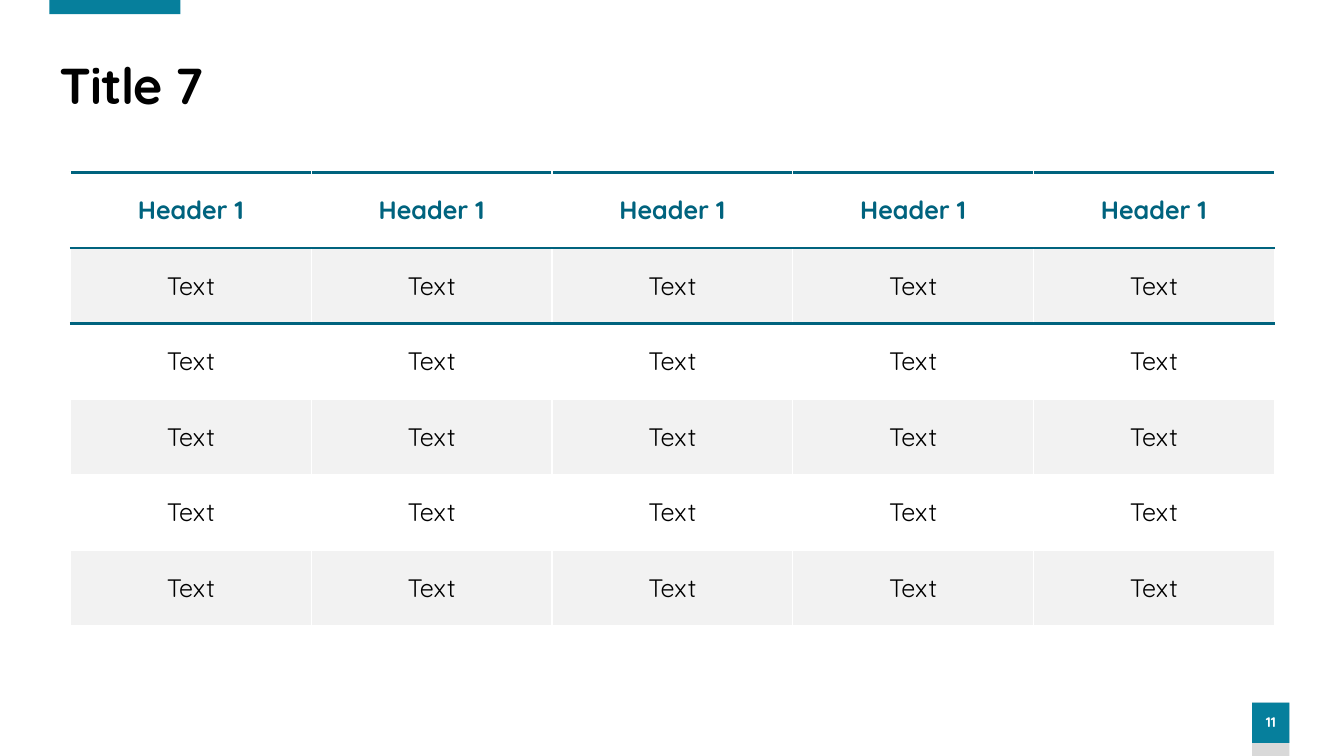
from lxml import etree
from pptx import Presentation
from pptx.dml.color import RGBColor
from pptx.enum.shapes import MSO_SHAPE
from pptx.enum.text import MSO_ANCHOR, PP_ALIGN
from pptx.oxml.ns import qn
from pptx.util import Pt

RECTANGLE = MSO_SHAPE.RECTANGLE
MIDDLE = MSO_ANCHOR.MIDDLE
CENTER = PP_ALIGN.CENTER

PX = 9144  # 100 px to the inch
FONT = "Quicksand"
COLORS = {
    "white": "FFFFFF",
    "black": "000000",
    "teal": "067F9C",
    "deep_teal": "00637E",
    "band": "F2F2F2",
    "grey": "D9D9D9",
}
COLUMNS = 5
ROWS = [["Header 1"] * COLUMNS] + [["Text"] * COLUMNS for _ in range(5)]


def emu(*lengths):
    return [length * PX for length in lengths]


def rgb(name):
    return RGBColor.from_string(COLORS[name])


def style_text(para, size, color, bold):
    for span in para.runs:
        span.font.name = FONT
        span.font.size = Pt(size)
        span.font.bold = bold
        span.font.color.rgb = rgb(color)


def add_block(page, box, color):
    block = page.shapes.add_shape(RECTANGLE, *emu(*box))
    block.shadow.inherit = False
    block.fill.solid()
    block.fill.fore_color.rgb = rgb(color)
    block.line.fill.background()
    return block


def add_title(page, box, text):
    frame = page.shapes.add_textbox(*emu(*box)).text_frame
    frame.word_wrap = True
    frame.vertical_anchor = MIDDLE
    para = frame.paragraphs[0]
    para.text = text
    para.line_spacing = 0.9
    style_text(para, 36, "black", True)
    para.runs[0].font._element.set("spc", "-60")


def add_page_number(page, box, number):
    """Stack a numbered teal square on a grey strip that fills the box."""
    left, top, width, _ = box
    add_block(page, box, "grey")
    frame = add_block(page, (left, top, width, 40), "teal").text_frame
    frame.margin_left = frame.margin_right = 0
    frame.vertical_anchor = MIDDLE
    para = frame.paragraphs[0]
    para.text = number
    para.alignment = CENTER
    para.line_spacing = 0.9
    style_text(para, 10, "white", True)


def add_border(cell, side, color, points):
    properties = cell._tc.get_or_add_tcPr()
    line = etree.SubElement(properties, qn(f"a:ln{side}"), w=str(Pt(points)))
    fill = etree.SubElement(line, qn("a:solidFill"))
    etree.SubElement(fill, qn("a:srgbClr"), val=COLORS[color])


def style_cell(cell, row):
    """Rule the top three row edges in teal and shade every odd row."""
    thin, thick = ("white", 1), ("deep_teal", 2.25)
    add_border(cell, "L", *thin)
    add_border(cell, "R", *thin)
    add_border(cell, "T", *(thick if row <= 2 else thin))
    add_border(cell, "B", *(thick if row <= 1 else thin))
    if row % 2:
        cell.fill.solid()
        cell.fill.fore_color.rgb = rgb("band")
    else:
        cell.fill.background()
    cell.vertical_anchor = MIDDLE
    para = cell.text_frame.paragraphs[0]
    para.alignment = CENTER
    header = row == 0
    style_text(para, 18, "deep_teal" if header else "black", header)


def add_text_table(page, box, rows):
    table = page.shapes.add_table(len(rows), COLUMNS, *emu(*box)).table
    for row, texts in enumerate(rows):
        for column, text in enumerate(texts):
            cell = table.cell(row, column)
            cell.text_frame.text = text
            style_cell(cell, row)


def build_table_page(deck):
    page = deck.slides.add_slide(deck.slide_layouts[6])
    add_page_number(page, (1242, 697, 37, 53), "11")
    add_block(page, (49, 0, 130, 14), "teal")
    add_title(page, (49, 55, 1222, 65), "Title 7")
    add_text_table(page, (70, 171, 1194, 450), ROWS)


def main():
    deck = Presentation()
    deck.slide_width, deck.slide_height = emu(1333, 750)
    build_table_page(deck)
    deck.save("out.pptx")


if __name__ == "__main__":
    main()
